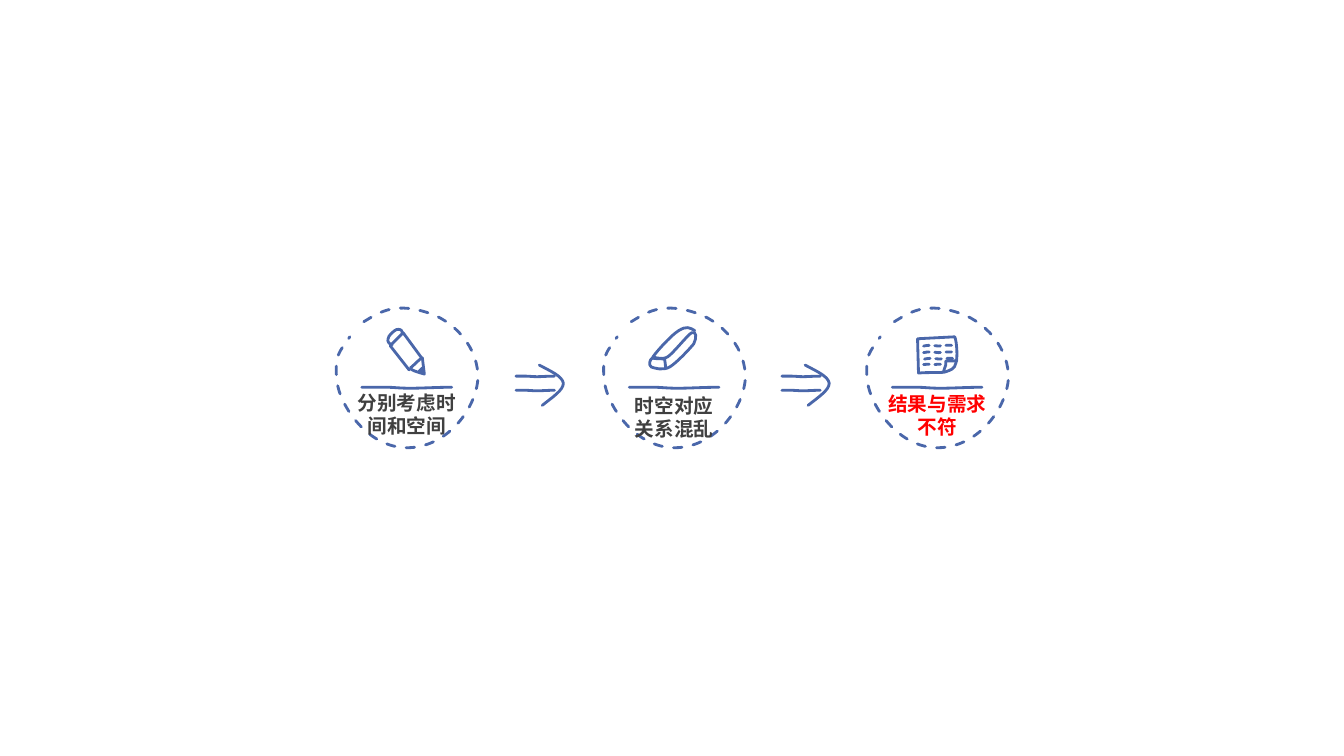
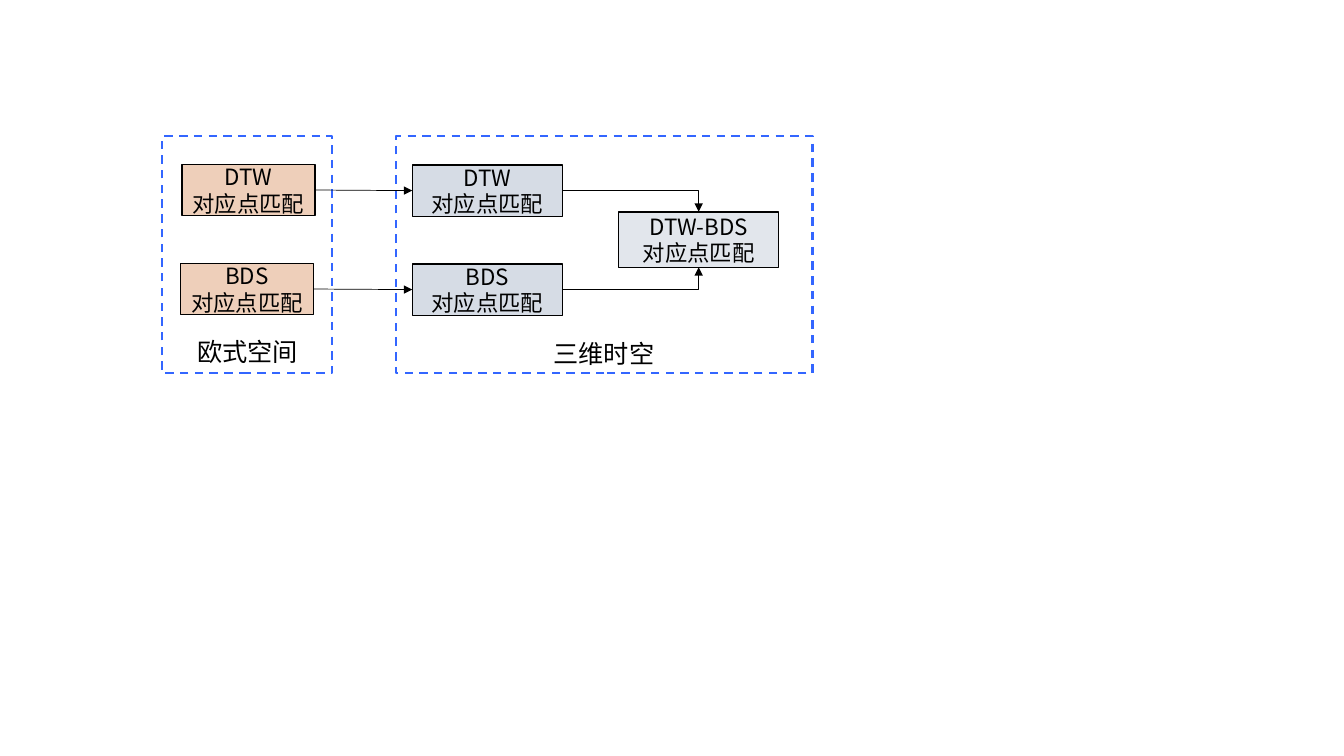
from lxml import etree
from pptx import Presentation
from pptx.dml.color import RGBColor
from pptx.enum import dml, shapes, text
from pptx.oxml import ns
from pptx.util import Pt

COLOURS = {"ink": "4A67AA", "lead": "253355", "deep": "005188", "grey": "404040",
           "red": "FF0000", "black": "000000", "peach": "EECFBA", "mist": "D6DCE5",
           "frame": "3366FF"}
SKETCH_FONT, DIAGRAM_FONT = "Noto Sans CJK JP", "Noto Sans CJK SC"
DASH, SHORT_DASH = dml.MSO_LINE.DASH, dml.MSO_LINE.SQUARE_DOT
MIDDLE, TOP = text.MSO_ANCHOR.MIDDLE, text.MSO_ANCHOR.TOP
TOP_SIDE, LEFT_SIDE, BOTTOM_SIDE, RIGHT_SIDE = range(4)

# A stroke starts with a point; then two numbers are a straight line, six a Bézier curve.
RING = [(19.4, 9.4), (30.2, 2.9, 40.3, -4.3, 62.6, 2.2), (84.2, 7.9, 102.2, 28.8, 100.8, 51.1),
        (98.6, 73.4, 77.8, 99.4, 50.4, 99.4), (22.3, 99.4, 2.2, 69.8, 0, 51.1),
        (-1.4, 33.1, 1.4, 31.7, 9.4, 20.2)]
UNDERLINE = [(18, 56.2), (23.8, 56.2, 29.5, 56.2, 35.3, 56.2), (41, 56.2, 44.6, 56.9, 52.6, 56.9),
             (60.5, 56.9, 71.3, 56.2, 82.1, 56.2)]
PENCIL = [
    {"stroke": [(62.6, 46.8), (57.6, 45.4, 52.6, 43.9, 52.6, 42.5),
                (55.4, 40.3, 59.8, 35.3, 61.2, 35.3), (62.6, 46.8)], "close": True},
    {"stroke": [(61.2, 36), (47.5, 17.3), (38.2, 26.6), (51.8, 43.9), (51.8, 43.9)]},
    {"stroke": [(61.9, 46.1), (60.5, 45.4, 59, 44.6, 59, 44.6), (59.8, 43.9, 61.2, 42.5, 61.2, 42.5),
                (61.9, 46.1)], "close": True, "fill": "lead"},
    {"stroke": [(39.6, 25.9), (37.4, 25.2, 36, 23.8, 36.7, 21.6), (36.7, 19.4, 41, 15.8, 42.5, 15.1),
                (44.6, 14.4, 46.8, 15.1, 46.8, 17.3)]},
]
ERASER = [
    {"stroke": [(34.6, 35.3), (32.4, 36.7, 31.7, 40.3, 33.8, 41.8), (36, 42.5, 41.8, 44.6, 46.8, 41.8),
                (51.8, 38.9, 61.2, 28.8, 64.1, 25.2), (66.2, 20.9, 66.2, 15.8, 62.6, 17.3),
                (59.8, 18.7, 49.7, 31.7, 45.4, 34.6), (40.3, 37.4, 36, 33.8, 34.6, 35.3)],
     "close": True},
    {"stroke": [(43.9, 42.5), (43.9, 38.9, 43.2, 36.7, 43.2, 36), (42.5, 36, 34.6, 36, 34.6, 35.3),
                (34.6, 33.8, 48.2, 18.7, 53.3, 15.8), (59, 12.2, 61.2, 13.7, 64.8, 15.8)]},
]
NOTE = [
    {"stroke": [(36, 21.6), (36.7, 46.1), (43.2, 45.4, 51.1, 46.1, 55.4, 45.4),
                (59.8, 43.9, 62.6, 43.2, 63.4, 38.9), (64.8, 35.3, 64.1, 23.8, 62.6, 20.2),
                (36, 21.6)], "close": True},
    {"stroke": [(54.7, 44.6), (55.4, 43.2, 55.4, 41.8, 56.2, 40.3),
                (56.2, 39.6, 56.2, 37.4, 56.2, 37.4), (57.6, 37.4, 59.8, 37.4, 60.5, 37.4),
                (61.9, 37.4, 62.6, 37.4, 64.1, 37.4)]},
]
ROW = [(0, 0.5), (1.4, 0, 3.6, 0, 5, 0), (7.2, 0, 9.4, 0.5, 10.8, 0.5),
       (12.2, 0.5, 13.7, 0, 15.1, 0), (16.6, 0, 18, 0, 20.2, 0)]
SHORT_ROW = [(0, 0.2), (1.4, 0, 2.9, 0, 3.6, 0), (5, 0, 6.5, 0.2, 7.9, 0.2),
             (8.6, 0.2, 9.4, 0, 10.1, 0), (11.5, 0, 12.2, 0, 13.7, 0)]
NOTE_ROWS = [(ROW, 40.3, 26.3), (ROW, 40.3, 31), (ROW, 41, 35.6), (SHORT_ROW, 40.3, 39.8)]
SHAFT = [(0, 7.9), (2.9, 7.9, 5, 7.9, 7.2, 7.9), (10.1, 7.9, 11.5, 8.3, 15.1, 8.3),
         (18, 8.3, 22.3, 7.9, 27.4, 7.9)]
ARROW_HEAD = [(16.6, 0), (24.5, 4.3, 33.1, 7.9, 33.8, 13), (33.8, 18, 25.9, 23, 18.7, 28.8)]
SHAFT_GAP = 10.1

RING_TOP, ARROW_TOP = 220.4, 260.8
ARROW_LEFTS = [368.6, 558.5]
# left, icon, rows on the icon, fill under the line, caption, caption top, caption colour
STAGES = [
    (240.5, PENCIL, [], "deep", ["分别考虑时间和空间"], 276.5, "grey"),
    (431.5, ERASER, [], None, ["时空对应", "关系混乱"], 278.6, "grey"),
    (619.4, NOTE, NOTE_ROWS, None, ["结果与需求不符"], 277.2, "red"),
]

MATCHING = "对应点匹配"
FRAMES = [(115.9, 97.4, 121.4, 169.2), (283, 97.4, 297.4, 169.2)]
FRAME_LABELS = [("欧式空间", 133.9, 236.2), ("三维时空", 388.3, 237.6)]
# method, position of the planar box, position of the space-time box, side of the merged box
METHODS = [("DTW", (130, 117.4), (294.5, 117.8), TOP_SIDE),
           ("BDS", (128.9, 188.1), (294.5, 188.5), BOTTOM_SIDE)]
PLANAR_SIZE, SPACE_TIME_SIZE = (95, 36.7), (107.5, 36.7)
MERGED = ("DTW-BDS", (441.8, 151.3, 114.5, 39.6))


def colour(name):
    return RGBColor.from_string(COLOURS[name])


def style_line(line, name, width, dash=None):
    line.color.rgb = colour(name)
    line.width = Pt(width)
    if dash:
        line.dash_style = dash


def style_fill(shape, name=None, opacity=100):
    shape.shadow.inherit = False
    if not name:
        shape.fill.background()
        return
    shape.fill.solid()
    shape.fill.fore_color.rgb = colour(name)
    if opacity < 100:
        rgb = shape.fill._xPr.find(".//" + ns.qn("a:srgbClr"))
        etree.SubElement(rgb, ns.qn("a:alpha"), val=str(opacity * 1000))


def write(shape, lines, size, font, name="black", bold=False, align=text.PP_ALIGN.CENTER,
          anchor=TOP, wrap=True, grow=False, insets=(5, 3, 3)):
    """Set the text; insets are the sides, the top and the bottom."""
    frame = shape.text_frame
    frame.word_wrap = wrap
    frame.vertical_anchor = anchor
    if grow:
        frame.auto_size = text.MSO_AUTO_SIZE.SHAPE_TO_FIT_TEXT
    frame.margin_left = frame.margin_right = Pt(insets[0])
    frame.margin_top, frame.margin_bottom = Pt(insets[1]), Pt(insets[2])
    for index, line in enumerate(lines):
        paragraph = frame.paragraphs[0] if index == 0 else frame.add_paragraph()
        paragraph.alignment = align
        paragraph.line_spacing = Pt(round(size * 1.18, 1))
        run = paragraph.add_run()
        run.text = line
        run.font.size, run.font.bold, run.font.name = Pt(size), bold, font
        run.font.color.rgb = colour(name)
        etree.SubElement(run.font._element, ns.qn("a:ea"), typeface=font)


def flatten(stroke, steps=24):
    """Turn lines and Bézier curves into points that give the true extent."""
    points = [stroke[0]]
    for segment in stroke[1:]:
        if len(segment) == 2:
            points.append(segment)
            continue
        x0, y0 = points[-1]
        x1, y1, x2, y2, x3, y3 = segment
        for step in range(1, steps + 1):
            t = step / steps
            a, b, c, d = (1 - t) ** 3, 3 * t * (1 - t) ** 2, 3 * t * t * (1 - t), t ** 3
            points.append((a * x0 + b * x1 + c * x2 + d * x3, a * y0 + b * y1 + c * y2 + d * y3))
    return points


def set_curves(shape, stroke, left, top, close):
    """Replace the outline's short lines by the stroke's own segments."""
    outline = shape._element.spPr.find(".//" + ns.qn("a:path"))
    for child in list(outline):
        outline.remove(child)
    for index, segment in enumerate(stroke):
        tag = "a:moveTo" if index == 0 else "a:lnTo" if len(segment) == 2 else "a:cubicBezTo"
        command = etree.SubElement(outline, ns.qn(tag))
        for x, y in zip(segment[::2], segment[1::2]):
            etree.SubElement(command, ns.qn("a:pt"), x=str(Pt(left + x) - shape.left),
                             y=str(Pt(top + y) - shape.top))
    if close:
        etree.SubElement(outline, ns.qn("a:close"))


def draw(slide, stroke, left, top, close=False, fill=None, dash=None):
    points = [(Pt(left + x), Pt(top + y)) for x, y in flatten(stroke)]
    builder = slide.shapes.build_freeform(*points[0], scale=1.0)
    builder.add_line_segments(points[1:], close=close)
    shape = builder.convert_to_shape()
    set_curves(shape, stroke, left, top, close)
    style_fill(shape, fill)
    style_line(shape.line, "ink", 2, dash)
    line = shape._element.spPr.find(ns.qn("a:ln"))
    line.set("cap", "rnd")
    etree.SubElement(line, ns.qn("a:round"))


def join(slide, source, target, side, bent=False):
    """Draw an arrow from the right side of source to a side of target."""
    kind = shapes.MSO_CONNECTOR.ELBOW if bent else shapes.MSO_CONNECTOR.STRAIGHT
    connector = slide.shapes.add_connector(kind, 0, 0, 0, 0)
    style_line(connector.line, "black", 0.5)
    connector.begin_connect(source, RIGHT_SIDE)
    connector.end_connect(target, side)
    properties = connector._element.spPr
    if bent:
        properties.find(ns.qn("a:prstGeom")).set("prst", "bentConnector2")
    etree.SubElement(properties.find(ns.qn("a:ln")), ns.qn("a:tailEnd"), type="triangle")
    etree.SubElement(properties, ns.qn("a:effectLst"))


def add_box(slide, bounds, fill=None, opacity=100, line="black", width=1, dash=None):
    box = slide.shapes.add_shape(shapes.MSO_SHAPE.RECTANGLE, *map(Pt, bounds))
    style_fill(box, fill, opacity)
    style_line(box.line, line, width, dash)
    return box


def add_method_box(slide, method, bounds, fill, opacity=100):
    box = add_box(slide, bounds, fill, opacity)
    write(box, [method, MATCHING], 16, DIAGRAM_FONT, anchor=MIDDLE, insets=(3, 0, 0))
    return box


def build_stages(slide):
    for left, icon, rows, underline_fill, caption, caption_top, name in STAGES:
        draw(slide, RING, left, RING_TOP, dash=DASH)
        draw(slide, UNDERLINE, left, RING_TOP, fill=underline_fill)
        for part in icon:
            draw(slide, left=left, top=RING_TOP, **part)
        for row, x, y in rows:
            draw(slide, row, left + x, RING_TOP + y, dash=SHORT_DASH)
        box = slide.shapes.add_textbox(*map(Pt, (left + 9.4, caption_top, 81.4, 39.6)))
        write(box, caption, 14, SKETCH_FONT, name, bold=True, grow=True)
    for left in ARROW_LEFTS:
        for offset in (0, SHAFT_GAP):
            draw(slide, SHAFT, left, ARROW_TOP + offset)
        draw(slide, ARROW_HEAD, left, ARROW_TOP)


def build_matching(slide):
    for bounds in FRAMES:
        add_box(slide, bounds, line="frame", width=1.5, dash=DASH)
    merged = add_method_box(slide, *MERGED, "mist", opacity=70)
    for method, planar_at, space_time_at, side in METHODS:
        planar = add_method_box(slide, method, planar_at + PLANAR_SIZE, "peach")
        space_time = add_method_box(slide, method, space_time_at + SPACE_TIME_SIZE, "mist")
        join(slide, planar, space_time, LEFT_SIDE)
        join(slide, space_time, merged, side, bent=True)
    for label, left, top in FRAME_LABELS:
        box = slide.shapes.add_textbox(*map(Pt, (left, top, 87.1, 28.8)))
        write(box, [label], 18, DIAGRAM_FONT, align=text.PP_ALIGN.LEFT, wrap=False, grow=True,
              insets=(7.2, 4.6, 3))


def main():
    presentation = Presentation()
    presentation.slide_width, presentation.slide_height = Pt(960), Pt(540)
    for build in (build_stages, build_matching):
        build(presentation.slides.add_slide(presentation.slide_layouts[6]))
    presentation.save("out.pptx")


if __name__ == "__main__":
    main()
